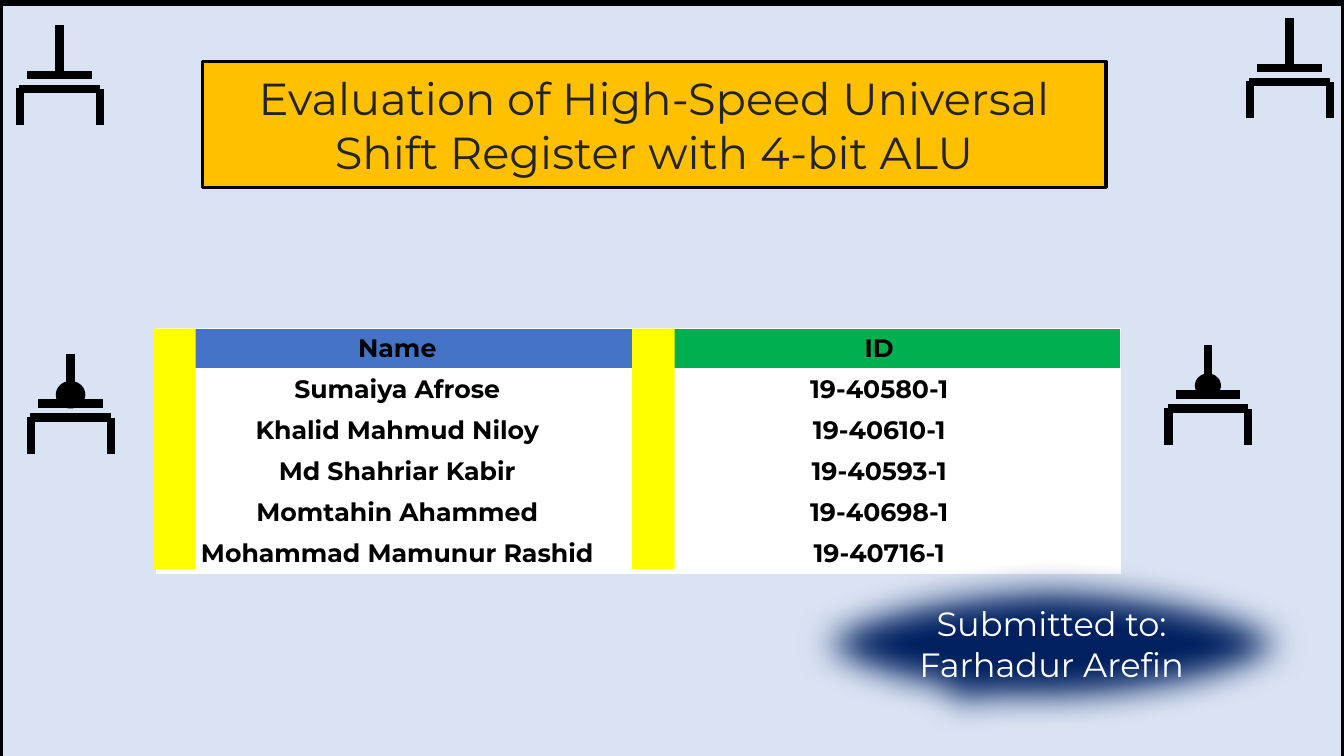
from dataclasses import dataclass

from lxml import etree
from pptx import Presentation
from pptx import util as u
from pptx.dml.color import RGBColor
from pptx.enum import shapes, text
from pptx.oxml import ns


@dataclass(frozen=True)
class Theme:
    font: str = "Montserrat"
    title_size: float = 32
    callout_size: float = 24
    table_size: float = 18
    black: str = "000000"
    white: str = "FFFFFF"
    ink: str = "242424"
    backdrop: str = "DAE3F3"
    amber: str = "FFC000"
    blue: str = "4472C4"
    green: str = "00B050"
    yellow: str = "FFFF00"
    navy: str = "002060"
    red: str = "FF0000"
    symbol_line: float = 6


THEME = Theme()
WIDTH, HEIGHT = 13.33, 7.5
MEMBERS = [
    ("Name", "ID"),
    ("Sumaiya Afrose", "19-40580-1"),
    ("Khalid Mahmud Niloy", "19-40610-1"),
    ("Md Shahriar Kabir", "19-40593-1"),
    ("Momtahin Ahammed", "19-40698-1"),
    ("Mohammad Mamunur Rashid", "19-40716-1"),
]


def inches(*lengths):
    return [u.Inches(length) for length in lengths]


def write(frame, words, size, color, bold=False):
    frame.word_wrap = True
    paragraph = frame.paragraphs[0]
    paragraph.alignment = text.PP_ALIGN.CENTER
    run = paragraph.add_run()
    run.text = words
    font = run.font
    font.name, font.size, font.bold = THEME.font, u.Pt(size), bold
    font.color.rgb = RGBColor.from_string(color)


def paint(shape, fill, line=None, line_width=0):
    shape.fill.solid()
    shape.fill.fore_color.rgb = RGBColor.from_string(fill)
    if line:
        shape.line.color.rgb = RGBColor.from_string(line)
        shape.line.width = u.Pt(line_width)
    else:
        shape.line.fill.background()


def add_figure(parent, kind, box, fill, line=None, line_width=0):
    shape = parent.add_shape(kind, *inches(*box))
    shape.shadow.inherit = False
    paint(shape, fill, line, line_width)
    return shape


def add_title(slide, box):
    title = slide.shapes.title
    title.left, title.top, title.width, title.height = inches(*box)
    paint(title, THEME.amber, THEME.black, 2.25)
    title.text_frame.vertical_anchor = text.MSO_ANCHOR.MIDDLE
    write(title.text_frame, "Evaluation of High-Speed Universal Shift Register with 4-bit ALU",
          THEME.title_size, THEME.ink)


def add_backdrop(slide, box):
    """Draw the framed background behind the title."""
    backdrop = add_figure(slide.shapes, shapes.MSO_SHAPE.RECTANGLE, box,
                          THEME.backdrop, THEME.black, 4.5)
    slide.shapes.title.element.addprevious(backdrop.element)


def set_borders(cell, bottom_width):
    properties = cell._tc.get_or_add_tcPr()
    for position, side in enumerate("LRTB"):
        width = bottom_width if side == "B" else 1
        border = etree.Element(ns.qn(f"a:ln{side}"), w=str(u.Pt(width)))
        fill = etree.SubElement(border, ns.qn("a:solidFill"))
        etree.SubElement(fill, ns.qn("a:srgbClr"), val=THEME.white)
        properties.insert(position, border)


def add_member_table(slide, box):
    left, top, width, height = box
    table = slide.shapes.add_table(len(MEMBERS), 2, *inches(*box)).table
    table.horz_banding = False
    for row, member in enumerate(MEMBERS):
        table.rows[row].height = u.Inches(0.39)
        fills = (THEME.white, THEME.white) if row else (THEME.blue, THEME.green)
        for column, words in enumerate(member):
            cell = table.cell(row, column)
            cell.fill.solid()
            cell.fill.fore_color.rgb = RGBColor.from_string(fills[column])
            set_borders(cell, 1 if row else 3)
            write(cell.text_frame, words, THEME.table_size, THEME.black, bold=True)
    for offset in (-0.03, width / 2 - 0.06):
        add_figure(slide.shapes, shapes.MSO_SHAPE.RECTANGLE,
                   (left + offset, top, 0.42, height), THEME.yellow)


def add_callout(slide, box):
    callout = add_figure(slide.shapes, shapes.MSO_SHAPE.OVAL_CALLOUT, box,
                         THEME.navy, THEME.red, 4.5)
    effects = callout.element.spPr.find(ns.qn("a:effectLst"))
    etree.SubElement(effects, ns.qn("a:softEdge"), rad=str(u.Pt(25)))
    callout.text_frame.vertical_anchor = text.MSO_ANCHOR.MIDDLE
    write(callout.text_frame, "Submitted to: Farhadur Arefin",
          THEME.callout_size, THEME.white)


def add_transistor(slide, box, bubble=None):
    """Draw a transistor symbol; bubble is the size of the dot on its gate."""
    left, top, width, height = box
    symbol = slide.shapes.add_group_shape()
    strokes = [
        (0, 0.64, 1, 0.64),
        (0.01, 0.63, 0.01, 1),
        (1, 0.64, 1, 1),
        (0.1, 0.5, 0.9, 0.5),
        (0.5, 0, 0.5, 0.5),
    ]
    for x1, y1, x2, y2 in strokes:
        ends = inches(left + x1 * width, top + y1 * height,
                      left + x2 * width, top + y2 * height)
        stroke = symbol.shapes.add_connector(shapes.MSO_CONNECTOR.STRAIGHT, *ends)
        stroke.line.color.rgb = RGBColor.from_string(THEME.black)
        stroke.line.width = u.Pt(THEME.symbol_line)
        etree.SubElement(stroke.element.spPr, ns.qn("a:effectLst"))
    if bubble:
        across, down = bubble
        add_figure(slide.shapes, shapes.MSO_SHAPE.OVAL,
                   (left + (width - across) / 2, top + 0.41 * height - down / 2, across, down),
                   THEME.black, THEME.black, THEME.symbol_line)


def main():
    presentation = Presentation()
    presentation.slide_width, presentation.slide_height = inches(WIDTH, HEIGHT)
    slide = presentation.slides.add_slide(presentation.slide_layouts[5])
    add_title(slide, (2.01, 0.61, 8.96, 1.25))
    add_backdrop(slide, (0, 0.03, WIDTH, HEIGHT))
    add_member_table(slide, (1.55, 3.26, 9.56, 2.39))
    add_callout(slide, (7.66, 5.56, 5.54, 1.65))
    for left, top, bubble in [
        (12.39, 0.18, None),
        (11.58, 3.42, (0.18, 0.16)),
        (0.3, 3.51, (0.21, 0.19)),
        (0.19, 0.25, None),
    ]:
        add_transistor(slide, (left, top, 0.8, 0.99), bubble)
    presentation.save("out.pptx")


if __name__ == "__main__":
    main()
